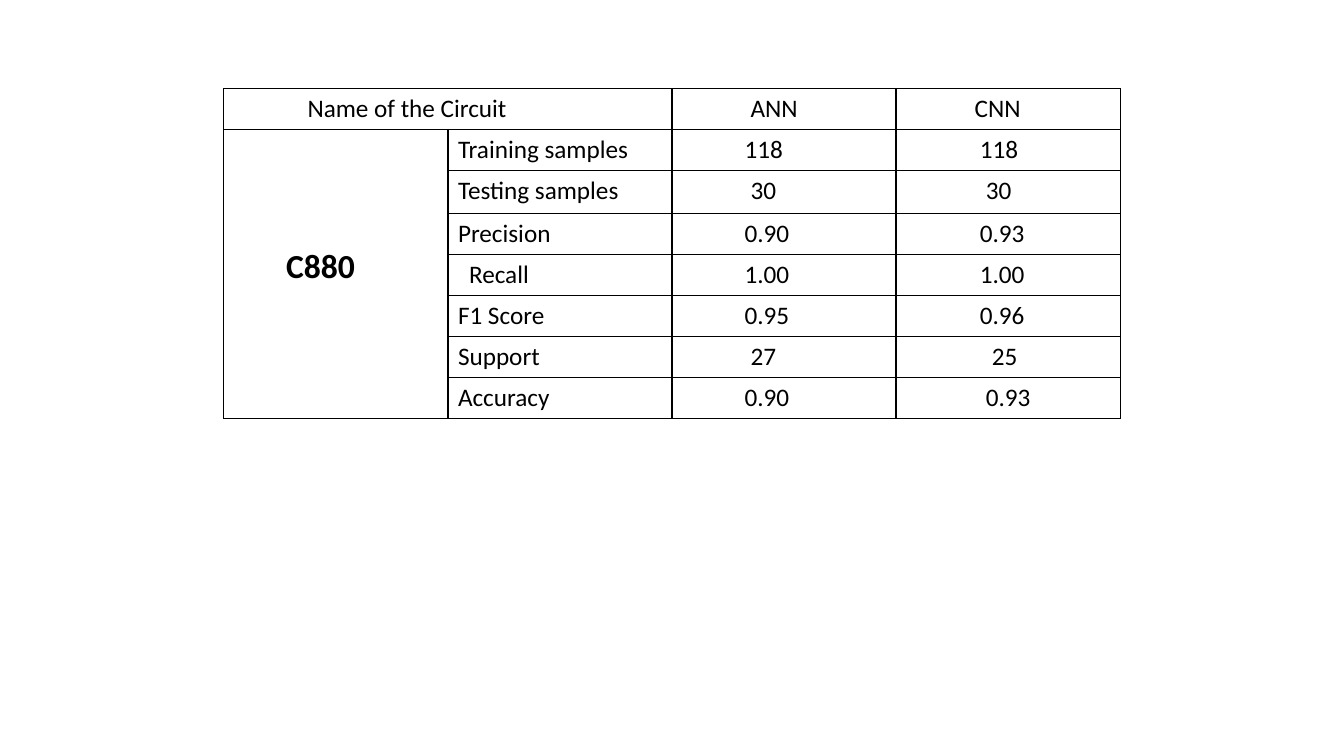
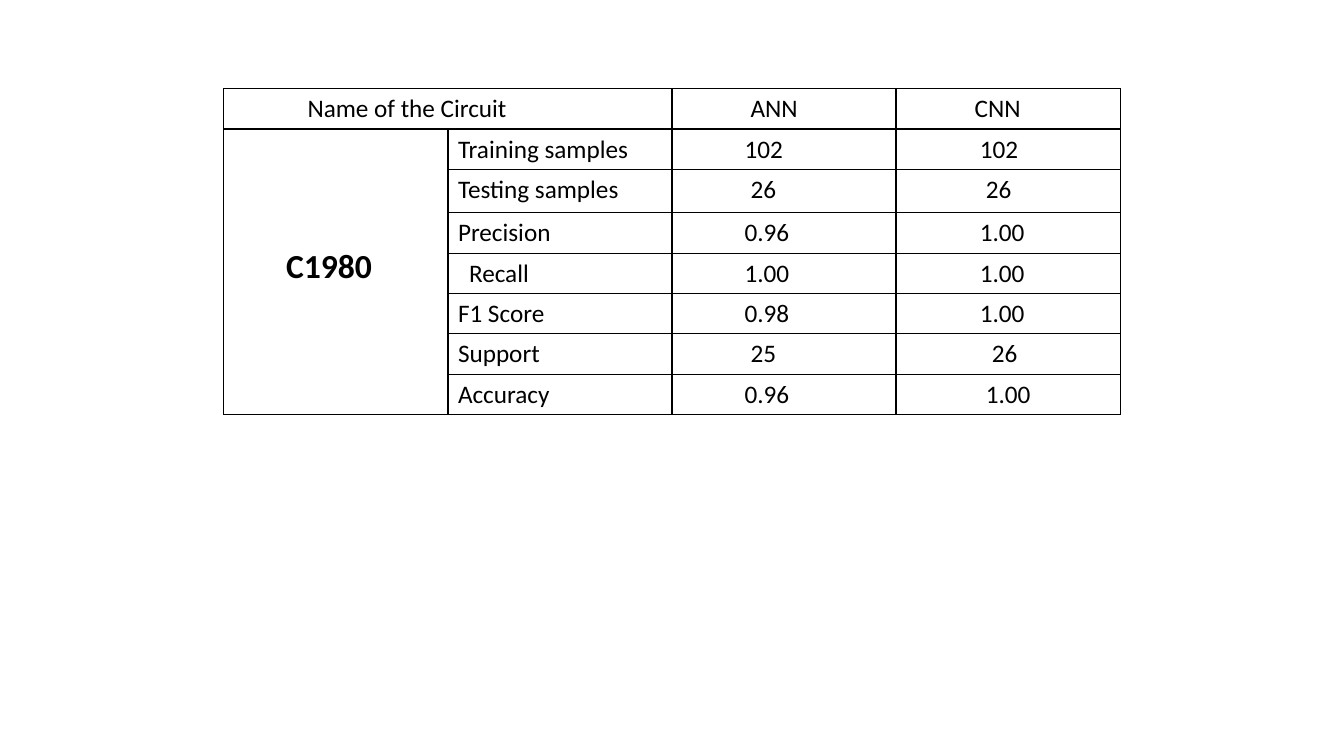
from lxml import etree
from pptx import Presentation
from pptx.dml.color import RGBColor
from pptx.enum.text import MSO_AUTO_SIZE
from pptx.oxml.ns import qn
from pptx.util import Inches, Pt

FIT_SHAPE = MSO_AUTO_SIZE.SHAPE_TO_FIT_TEXT
BLANK_LAYOUT = 6
FONT = "Calibri"
BLACK = "000000"

TABLE_LEFT, TABLE_TOP, TABLE_WIDTH = 2.22, 0.88, 8.89
COLUMN_COUNT = 4
ROW_HEIGHT, TESTING_ROW_HEIGHT = 0.4, 0.43
TESTING_ROW = 2
CELL_MARGIN = 0.1
BORDER_WIDTH = 1

# Each heading: column, text, indent
HEADINGS = [(0, "Name of the Circuit", 0.73), (2, "ANN", 0.68), (3, "CNN", 0.68)]
# Each metric: label, label indent, ANN indent, CNN indent
METRICS = [
    ("Training samples", 0, 0.62, 0.73),
    ("Testing samples", 0, 0.68, 0.79),
    ("Precision", 0, 0.62, 0.73),
    ("Recall", 0.11, 0.62, 0.73),
    ("F1 Score", 0, 0.62, 0.73),
    ("Support", 0, 0.68, 0.85),
    ("Accuracy", 0, 0.62, 0.79),
]
# Each circuit: name, name width, ANN values, CNN values
CIRCUITS = [
    ("C880", 0.96,
     ["118", "30", "0.90", "1.00", "0.95", "27", "0.90"],
     ["118", "30", "0.93", "1.00", "0.96", "25", "0.93"]),
    ("C1980", 1.13,
     ["102", "26", "0.96", "1.00", "0.98", "25", "0.96"],
     ["102", "26", "1.00", "1.00", "1.00", "26", "1.00"]),
]


def color(hex_code):
    return RGBColor.from_string(hex_code)


def write(text_frame, text, size, bold=False):
    text_frame.text = text
    font = text_frame.paragraphs[0].runs[0].font
    font.name, font.size, font.bold = FONT, Pt(size), bold
    font.color.rgb = color(BLACK)


def fill_cell(cell, text, indent):
    write(cell.text_frame, text, 18)
    cell.margin_left = Inches(CELL_MARGIN + indent)


def outline_cell(cell):
    """Clear the cell's fill and draw all four of its borders."""
    cell.fill.background()
    properties = cell._tc.get_or_add_tcPr()
    for position, side in enumerate(("a:lnL", "a:lnR", "a:lnT", "a:lnB")):
        border = etree.Element(qn(side), w=str(Pt(BORDER_WIDTH)))
        fill = etree.SubElement(border, qn("a:solidFill"))
        etree.SubElement(fill, qn("a:srgbClr"), val=BLACK)
        properties.insert(position, border)


def add_results_table(slide, ann_values, cnn_values):
    row_count = len(METRICS) + 1
    table = slide.shapes.add_table(
        row_count, COLUMN_COUNT, Inches(TABLE_LEFT), Inches(TABLE_TOP),
        Inches(TABLE_WIDTH), Inches(ROW_HEIGHT * row_count)).table
    table.first_row = table.horz_banding = False
    for row in table.rows:
        row.height = Inches(ROW_HEIGHT)
    table.rows[TESTING_ROW].height = Inches(TESTING_ROW_HEIGHT)
    for cell in table.iter_cells():
        outline_cell(cell)

    table.cell(0, 0).merge(table.cell(0, 1))
    table.cell(1, 0).merge(table.cell(row_count - 1, 0))
    for column, heading, indent in HEADINGS:
        fill_cell(table.cell(0, column), heading, indent)
    results = zip(METRICS, ann_values, cnn_values)
    for row, ((label, *indents), ann, cnn) in enumerate(results, start=1):
        for column, (text, indent) in enumerate(zip((label, ann, cnn), indents), start=1):
            fill_cell(table.cell(row, column), text, indent)


def add_circuit_name(slide, name, width):
    box = slide.shapes.add_textbox(Inches(2.74), Inches(2.38), Inches(width), Inches(0.5))
    box.text_frame.auto_size = FIT_SHAPE
    box.text_frame.word_wrap = True
    write(box.text_frame, name, 24, bold=True)


def main():
    presentation = Presentation()
    presentation.slide_width = Inches(13.33)
    presentation.slide_height = Inches(7.5)
    for name, name_width, ann_values, cnn_values in CIRCUITS:
        slide = presentation.slides.add_slide(presentation.slide_layouts[BLANK_LAYOUT])
        add_results_table(slide, ann_values, cnn_values)
        add_circuit_name(slide, name, name_width)
    presentation.save("out.pptx")


if __name__ == "__main__":
    main()
